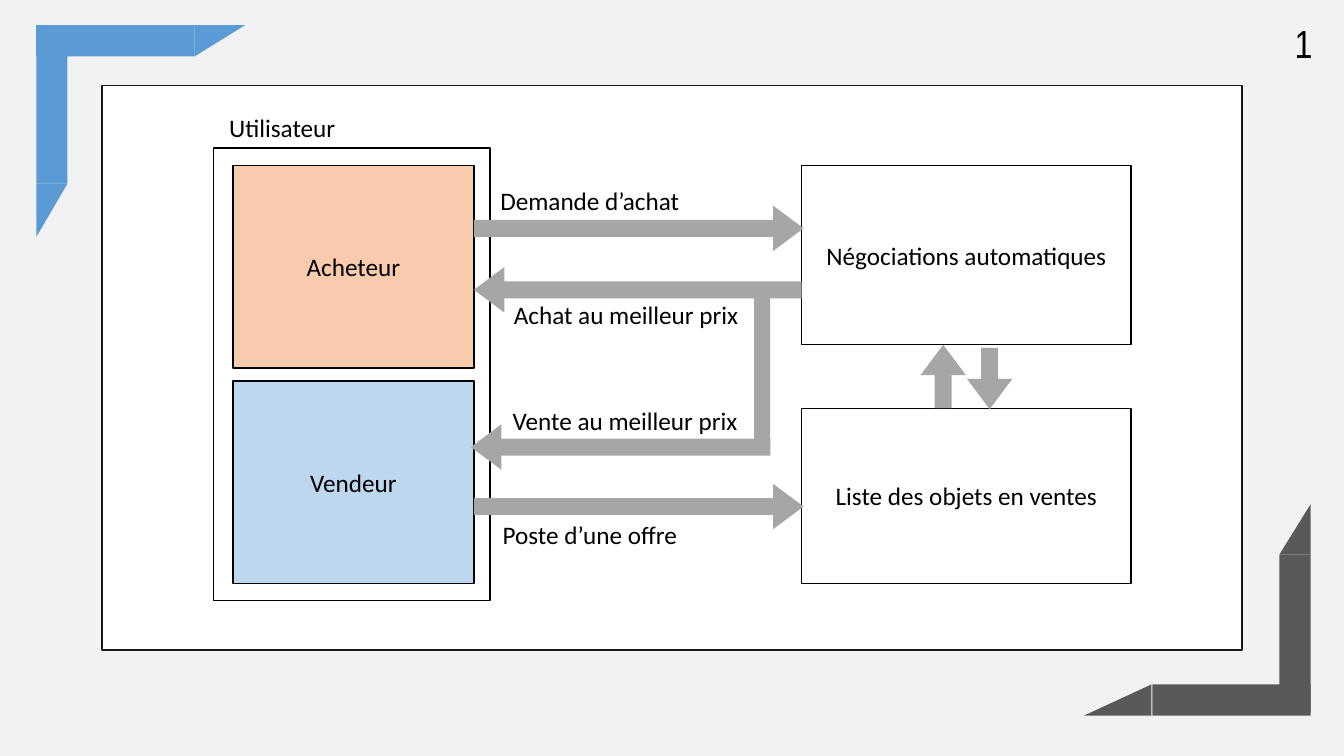
from dataclasses import dataclass

from pptx import Presentation
from pptx.dml.color import RGBColor
from pptx.enum.shapes import MSO_SHAPE
from pptx.enum.text import MSO_ANCHOR, PP_ALIGN
from pptx.shapes.autoshape import Shape
from pptx.slide import Slide
from pptx.util import Inches, Pt


@dataclass(frozen=True)
class Theme:
    back: str = "F2F2F2"
    white: str = "FFFFFF"
    ink: str = "000000"
    edge: str = "181717"
    blue: str = "5B9BD5"
    dark: str = "595959"
    flow: str = "A6A6A6"
    buyer: str = "F8CBAD"
    seller: str = "BDD7EE"
    font: str = "Calibri"
    narrow: str = "Arial Narrow"
    body: int = 18
    number: int = 28
    line: int = 1


@dataclass(frozen=True)
class Area:
    left: float
    top: float
    width: float
    height: float


@dataclass(frozen=True)
class Box:
    area: Area
    fill: str
    text: str = ""
    line: str = ""


@dataclass(frozen=True)
class Corner:
    bars: tuple[Area, ...]
    tips: tuple[Area, ...]
    fill: str
    turn: int


@dataclass(frozen=True)
class Arrow:
    left: float
    top: float
    length: float
    turn: int = 0


@dataclass(frozen=True)
class Label:
    area: Area
    text: str
    size: int
    font: str


THEME = Theme()
BAR, THICK, HEAD = 1.57, 0.31, 0.45

CORNERS = (
    Corner(
        (Area(0.36, 0.25, THICK, BAR), Area(0.36, 0.25, BAR, THICK)),
        (Area(1.93, 0.25, 0.5, THICK), Area(0.36, 1.82, THICK, 0.53)),
        THEME.blue,
        180,
    ),
    Corner(
        (Area(12.69, 5.5, THICK, BAR), Area(11.43, 6.79, BAR, THICK)),
        (Area(12.69, 5, THICK, 0.5), Area(10.75, 6.79, 0.67, THICK)),
        THEME.dark,
        0,
    ),
)

BOXES = (
    Box(Area(1.01, 0.85, 11.31, 5.6), THEME.white, line=THEME.edge),
    Box(Area(7.95, 4.05, 3.27, 1.74), THEME.white, "Liste des objets en ventes", THEME.ink),
    Box(Area(2.12, 1.47, 2.74, 4.49), THEME.white, line=THEME.ink),
    Box(Area(7.95, 1.64, 3.27, 1.78), THEME.white, "Négociations automatiques", THEME.ink),
    Box(Area(2.31, 1.64, 2.39, 2.01), THEME.buyer, "Acheteur", THEME.ink),
    Box(Area(2.31, 3.78, 2.39, 2.01), THEME.seller, "Vendeur", THEME.ink),
    Box(Area(7.48, 2.92, 0.16, 1.55), THEME.flow),
)

ARROWS = (
    Arrow(4.7, 2.04, 3.27),
    Arrow(4.7, 2.65, 3.25, 180),
    Arrow(4.67, 4.21, 2.97, 180),
    Arrow(4.7, 4.8, 3.27),
    Arrow(9.04, 3.51, 0.63, 270),
    Arrow(9.51, 3.53, 0.61, 90),
)

LABELS = (
    Label(Area(12.68, 0.14, 0.5, 0.57), "1", THEME.number, THEME.narrow),
    Label(Area(2.12, 1.07, 1.36, 0.4), "Utilisateur", THEME.body, THEME.font),
    Label(Area(4.48, 1.79, 2.74, 0.4), "Demande d’achat", THEME.body, THEME.font),
    Label(Area(4.48, 5.1, 2.74, 0.4), "Poste d’une offre", THEME.body, THEME.font),
    Label(Area(4.83, 3.97, 2.74, 0.4), "Vente au meilleur prix", THEME.body, THEME.font),
    Label(Area(4.86, 2.92, 2.7, 0.4), "Achat au meilleur prix", THEME.body, THEME.font),
)


def place(area: Area) -> tuple[int, int, int, int]:
    return Inches(area.left), Inches(area.top), Inches(area.width), Inches(area.height)


def write(shape: Shape, text: str, *, size: int = THEME.body, font: str = THEME.font,
          color: str = THEME.ink, anchor: MSO_ANCHOR = MSO_ANCHOR.MIDDLE) -> None:
    frame = shape.text_frame
    frame.word_wrap = True
    frame.vertical_anchor = anchor
    para = frame.paragraphs[0]
    para.alignment = PP_ALIGN.CENTER
    run = para.add_run()
    run.text = text
    run.font.size = Pt(size)
    run.font.name = font
    run.font.color.rgb = RGBColor.from_string(color)


def draw(slide: Slide, kind: MSO_SHAPE, area: Area, fill: str, *, line: str = "",
         turn: int = 0, adjust: tuple[float, ...] = ()) -> Shape:
    shape = slide.shapes.add_shape(kind, *place(area))
    shape.shadow.inherit = False
    shape.rotation = turn
    for index, value in enumerate(adjust):
        shape.adjustments[index] = value
    shape.fill.solid()
    shape.fill.fore_color.rgb = RGBColor.from_string(fill)
    if line:
        shape.line.color.rgb = RGBColor.from_string(line)
        shape.line.width = Pt(THEME.line)
    else:
        shape.line.fill.background()
    return shape


def draw_corner(slide: Slide, corner: Corner) -> None:
    for bar in corner.bars:
        draw(slide, MSO_SHAPE.RECTANGLE, bar, corner.fill)
    for tip in corner.tips:
        draw(slide, MSO_SHAPE.ISOSCELES_TRIANGLE, tip, corner.fill, turn=corner.turn, adjust=(1,))


def draw_box(slide: Slide, box: Box) -> None:
    shape = draw(slide, MSO_SHAPE.RECTANGLE, box.area, box.fill, line=box.line)
    if box.text:
        write(shape, box.text)


def draw_arrow(slide: Slide, arrow: Arrow) -> None:
    area = Area(arrow.left, arrow.top, arrow.length, HEAD)
    draw(slide, MSO_SHAPE.RIGHT_ARROW, area, THEME.flow, turn=arrow.turn, adjust=(0.375, 0.67))


def draw_label(slide: Slide, label: Label) -> None:
    shape = slide.shapes.add_textbox(*place(label.area))
    write(shape, label.text, size=label.size, font=label.font, anchor=MSO_ANCHOR.TOP)


def main() -> None:
    deck = Presentation()
    deck.slide_width, deck.slide_height = Inches(13.33), Inches(7.5)
    slide = deck.slides.add_slide(deck.slide_layouts[6])
    slide.background.fill.solid()
    slide.background.fill.fore_color.rgb = RGBColor.from_string(THEME.back)
    for corner in CORNERS:
        draw_corner(slide, corner)
    for box in BOXES:
        draw_box(slide, box)
    for arrow in ARROWS:
        draw_arrow(slide, arrow)
    for label in LABELS:
        draw_label(slide, label)
    deck.save("out.pptx")


if __name__ == "__main__":
    main()
